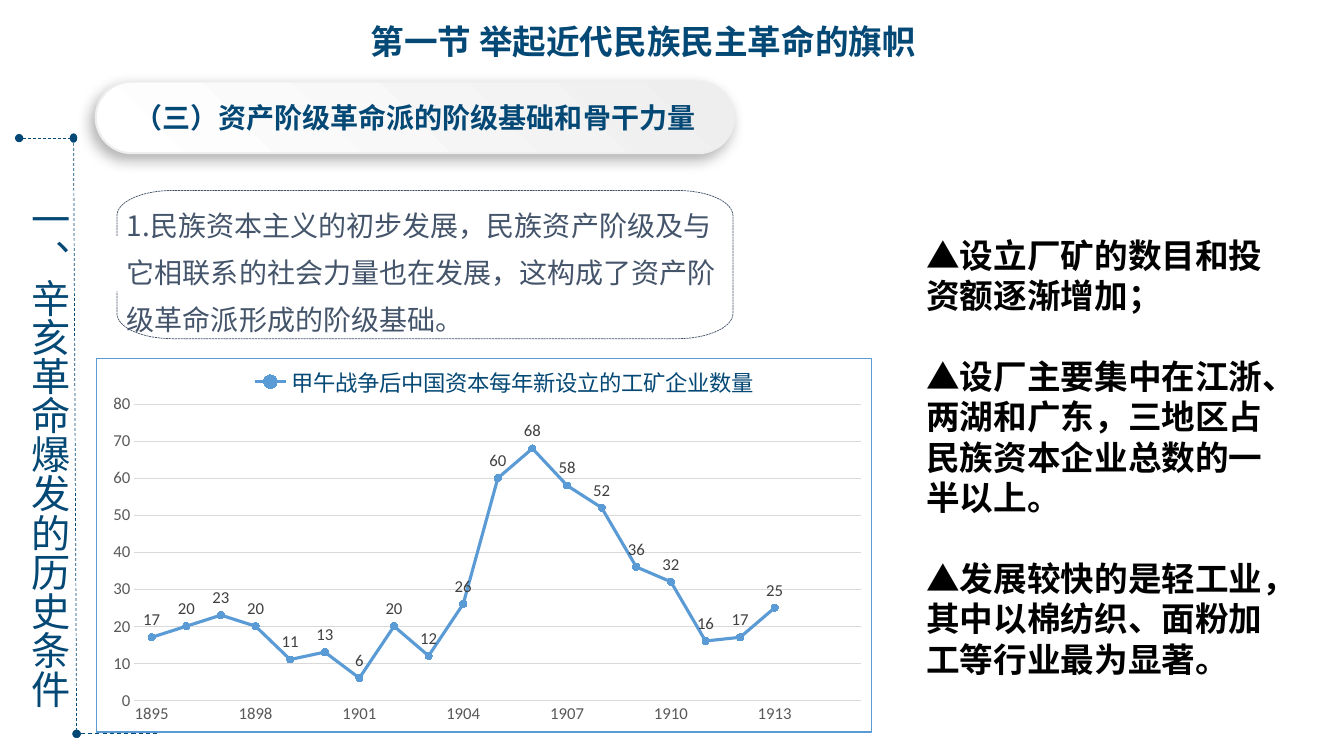
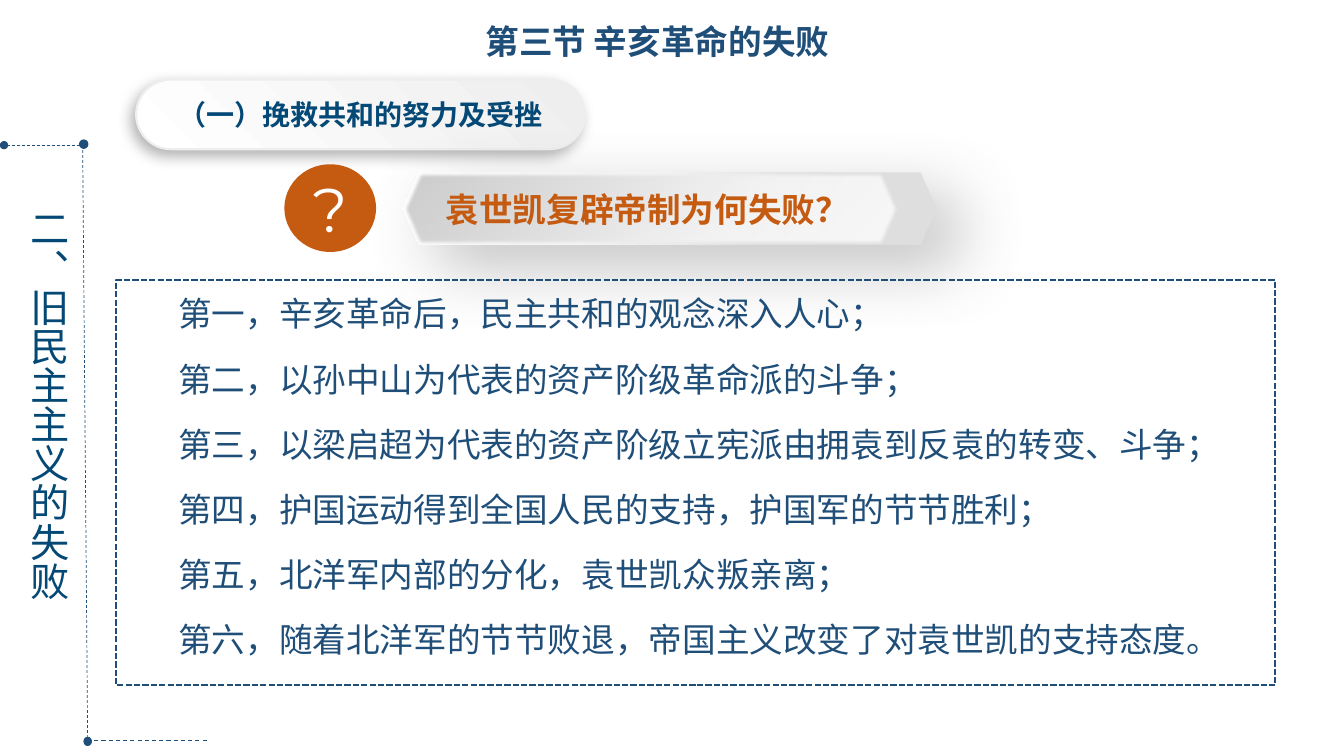
import math
from dataclasses import dataclass

from lxml import etree
from pptx import Presentation
from pptx.chart.data import CategoryChartData
from pptx.dml.color import RGBColor
from pptx.enum.chart import (XL_CHART_TYPE, XL_LABEL_POSITION, XL_LEGEND_POSITION,
                             XL_MARKER_STYLE, XL_TICK_MARK)
from pptx.enum.dml import MSO_LINE
from pptx.enum.shapes import MSO_CONNECTOR, MSO_SHAPE
from pptx.enum.text import MSO_ANCHOR, PP_ALIGN
from pptx.oxml import parse_xml
from pptx.oxml.ns import nsdecls, qn
from pptx.util import Emu, Pt

PX = 9144  # EMU per px, 100 px to the inch
LEFT, CENTER = PP_ALIGN.LEFT, PP_ALIGN.CENTER
TOP, MIDDLE = MSO_ANCHOR.TOP, MSO_ANCHOR.MIDDLE
DASH, SHORT_DASH = MSO_LINE.DASH, MSO_LINE.SQUARE_DOT
OVAL, HEXAGON = MSO_SHAPE.OVAL, MSO_SHAPE.HEXAGON


@dataclass(frozen=True)
class Theme:
    cjk: str = "Noto Sans CJK SC"
    latin: str = "Arial"
    display: str = "Montserrat"
    chart: str = "Calibri"
    navy: str = "044875"
    blue: str = "1F4E79"
    slate: str = "44546A"
    orange: str = "C55A11"
    series: tuple = ("5B9BD5", "ED7D31", "A5A5A5", "FFC000")
    grid: str = "D9D9D9"
    axis: str = "595959"
    label: str = "404040"
    pill_edge: str = "EEEEEE"
    black: str = "000000"
    white: str = "FFFFFF"
    title_size: int = 24
    body_size: int = 24
    side_size: int = 28
    pill_size: int = 20
    mark_size: int = 44
    legend_size: int = 16
    axis_size: int = 12


THEME = Theme()
PILL_GRADIENT = {"stops": [(0, "EEEEEE"), (100, "FFFFFF")], "angle": 135}
PILL_SHADOW = {"color": "000000", "alpha": 30, "blur": 10, "distance": 5, "angle": 135}
BANNER_SHADOW = {"color": "696969", "alpha": 40, "blur": 49, "distance": 25, "angle": 40}
BANNER_LAYERS = [
    ((399, 171, 530, 72), [(1, "DEDEDE"), (30, "E0E0E0"), (61, "F6F6F6"), (100, "FFFFFF")], 225),
    ((399, 171, 492, 72), [(0, "CBCBCB"), (32, "DEDEDE"), (64, "F3F3F3"), (100, "F9F9F9")], 45),
]

REVOLUTION = {
    "title": ("第一节 举起近代民族民主革命的旗帜", (342, 16, 592, 50), THEME.navy),
    "pill": ("（三）资产阶级革命派的阶级基础和骨干力量", (95, 81, 633, 71)),
    "side": ("一、辛亥革命爆发的历史条件", (11, 189, 67, 558)),
    "rail": {"color": THEME.navy, "dot": (70, 133, 6, 8),
             "lines": [((156, 728), (76, 728), 0.75), ((70, 137), (19, 137), 0.5),
                       ((73, 137), (76, 728), 0.5)]},
}
BASIS = "1.民族资本主义的初步发展，民族资产阶级及与它相联系的社会力量也在发展，这构成了资产阶级革命派形成的阶级基础。"
FINDINGS = [
    "▲设立厂矿的数目和投资额逐渐增加；",
    "▲设厂主要集中在江浙、两湖和广东，三地区占民族资本企业总数的一半以上。",
    "▲发展较快的是轻工业，其中以棉纺织、面粉加工等行业最为显著。",
]
FIRST_YEAR, YEAR_STEP = 1895, 3
ENTERPRISES = [17, 20, 23, 20, 11, 13, 6, 20, 12, 26, 60, 68, 58, 52, 36, 32, 16, 17, 25,
               None, None]
CHART_SERIES = [("甲午战争后中国资本每年新设立的工矿企业数量", ENTERPRISES),
                ("系列 2", []), ("系列 3", []), ("", [])]

FAILURE = {
    "title": ("第三节 辛亥革命的失败", (426, 16, 452, 50), THEME.blue),
    "pill": ("（一）挽救共和的努力及受挫", (135, 79, 445, 69)),
    "side": ("二、旧民主主义的失败", (10, 198, 67, 432)),
    "rail": {"color": THEME.blue, "dot": (79, 139, 8, 8),
             "lines": [((205, 735), (87, 735), 0.75), ((79, 144), (4, 144), 0.5),
                       ((82, 144), (87, 736), 0.5)]},
}
QUESTION = "袁世凯复辟帝制为何失败？"
REASONS = [
    "第一，辛亥革命后，民主共和的观念深入人心；",
    "第二，以孙中山为代表的资产阶级革命派的斗争；",
    "第三，以梁启超为代表的资产阶级立宪派由拥袁到反袁的转变、斗争；",
    "第四，护国运动得到全国人民的支持，护国军的节节胜利；",
    "第五，北洋军内部的分化，袁世凯众叛亲离；",
    "第六，随着北洋军的节节败退，帝国主义改变了对袁世凯的支持态度。",
]


def emu(*lengths):
    return [Emu(round(length * PX)) for length in lengths]


def rgb(color):
    return RGBColor.from_string(color)


def set_values(target, values):
    for name, value in values.items():
        setattr(target, name, value)


def format_font(font, size, color, name, bold=False):
    set_values(font, {"size": Pt(size), "name": name, "bold": bold})
    font.color.rgb = rgb(color)


def write(shape, lines, size, color, name=THEME.cjk, bold=False, align=LEFT, anchor=TOP,
          spacing=None, gap=0, indent=0, margins=None):
    """Fill a shape with paragraphs; gap is in points, indent and margins in px."""
    frame = shape.text_frame
    set_values(frame, {"word_wrap": True, "vertical_anchor": anchor})
    if margins is not None:
        for side in ("left", "top", "right", "bottom"):
            setattr(frame, f"margin_{side}", margins * PX)
    for index, line in enumerate(lines):
        paragraph = frame.add_paragraph() if index else frame.paragraphs[0]
        set_values(paragraph, {"alignment": align, "line_spacing": spacing})
        if index and gap:
            paragraph.space_before = Pt(gap)
        if indent:
            paragraph._p.get_or_add_pPr().set("indent", str(indent * PX))
        run = paragraph.add_run()
        run.text = line
        format_font(run.font, size, color, name, bold)
        east_asian = etree.SubElement(run._r.rPr, qn("a:ea"))
        east_asian.set("typeface", THEME.cjk)


def style_line(line, color, width, dash=None):
    line.color.rgb = rgb(color)
    set_values(line, {"width": Pt(width), "dash_style": dash})


def add_text(slide, box, lines, **style):
    shape = slide.shapes.add_textbox(*emu(*box))
    write(shape, lines, **style)
    return shape


def add_plain_shape(slide, kind, box, fill=None):
    shape = slide.shapes.add_shape(kind, *emu(*box))
    shape.shadow.inherit = False
    if fill:
        shape.fill.solid()
        shape.fill.fore_color.rgb = rgb(fill)
    else:
        shape.fill.background()
    shape.line.fill.background()
    return shape


def set_gradient(shape, stops, angle):
    marks = "".join(f'<a:gs pos="{position * 1000}"><a:srgbClr val="{color}"/></a:gs>'
                    for position, color in stops)
    properties = shape._element.spPr
    properties.replace(properties.find(qn("a:noFill")), parse_xml(
        f'<a:gradFill {nsdecls("a")} rotWithShape="1"><a:gsLst>{marks}</a:gsLst>'
        f'<a:lin ang="{angle * 60000}" scaled="0"/></a:gradFill>'))


def add_effect(shape, xml):
    shape._element.spPr.find(qn("a:effectLst")).append(parse_xml(xml))


def set_shadow(shape, color, alpha, blur, distance, angle):
    add_effect(shape, f'<a:outerShdw {nsdecls("a")} blurRad="{Pt(blur)}" dist="{Pt(distance)}" '
                      f'dir="{angle * 60000}" algn="ctr" rotWithShape="0"><a:srgbClr val="{color}">'
                      f'<a:alpha val="{alpha * 1000}"/></a:srgbClr></a:outerShdw>')


def add_rail(slide, color, dot, lines):
    for start, end, width in lines:
        connector = slide.shapes.add_connector(MSO_CONNECTOR.STRAIGHT, *emu(*start, *end))
        style_line(connector.line, color, width, DASH)
        etree.SubElement(connector.line._get_or_add_ln(), qn("a:tailEnd")).set("type", "oval")
        etree.SubElement(connector._element.spPr, qn("a:effectLst"))
    style_line(add_plain_shape(slide, OVAL, dot, color).line, color, 1)


def add_framed_slide(presentation, content):
    """Add a slide with its title, side rail, vertical heading and pill heading."""
    slide = presentation.slides.add_slide(presentation.slide_layouts[5])
    text, box, color = content["title"]
    title = slide.shapes.title
    set_values(title, dict(zip(("left", "top", "width", "height"), emu(*box))))
    write(title, [text], THEME.title_size, color, bold=True, align=CENTER)

    add_rail(slide, **content["rail"])
    text, box = content["side"]
    side = add_text(slide, box, [text], size=THEME.side_size, color=THEME.navy)
    side.text_frame._txBody.bodyPr.set("vert", "eaVert")

    text, box = content["pill"]
    pill = add_plain_shape(slide, MSO_SHAPE.ROUNDED_RECTANGLE, box)
    pill.adjustments[0] = 0.5
    set_gradient(pill, **PILL_GRADIENT)
    style_line(pill.line, THEME.pill_edge, 1.5)
    set_shadow(pill, **PILL_SHADOW)
    write(pill, [text], THEME.pill_size, THEME.navy, bold=True, align=CENTER, anchor=MIDDLE)
    return slide


def add_open_frame(slide, left, top, right, bottom, radius_x, radius_y, gap):
    """Draw a round-cornered outline left open on its left side between the gap's two heights."""
    corners = [(left + radius_x, top + radius_y, 180), (right - radius_x, top + radius_y, 270),
               (right - radius_x, bottom - radius_y, 0), (left + radius_x, bottom - radius_y, 90)]
    points = [(x + radius_x * math.cos(math.radians(start + turn)),
               y + radius_y * math.sin(math.radians(start + turn)))
              for x, y, start in corners for turn in range(0, 91, 6)]
    builder = slide.shapes.build_freeform(*emu(left, gap[0]))
    builder.add_line_segments([emu(*point) for point in [*points, (left, gap[1])]], close=False)
    frame = builder.convert_to_shape()
    frame.shadow.inherit = False
    frame.fill.background()
    style_line(frame.line, THEME.slate, 0.5, SHORT_DASH)
    return frame


def set_layout(element, **percents):
    """Place a plot area or legend by percents of the chart."""
    old = element.find(qn("c:layout"))
    if old is not None:
        element.remove(old)
    target = '<c:layoutTarget val="inner"/>' if element.tag == qn("c:plotArea") else ""
    modes = '<c:xMode val="edge"/><c:yMode val="edge"/>'
    values = "".join(f'<c:{key} val="{value / 100}"/>' for key, value in percents.items())
    layout = parse_xml(f'<c:layout {nsdecls("c")}><c:manualLayout>{target}{modes}{values}'
                       f'</c:manualLayout></c:layout>')
    position = element.find(qn("c:legendPos"))
    if position is None:
        element.insert(0, layout)
    else:
        position.addnext(layout)


def style_series(series, color):
    series.smooth = False
    style_line(series.format.line, color, 2.25)
    set_values(series.marker, {"style": XL_MARKER_STYLE.CIRCLE, "size": 5})
    series.marker.format.fill.solid()
    series.marker.format.fill.fore_color.rgb = rgb(color)
    style_line(series.marker.format.line, color, 0.75)
    labels = series.data_labels
    set_values(labels, {"show_value": True, "position": XL_LABEL_POSITION.ABOVE})
    format_font(labels.font, THEME.axis_size, THEME.label, THEME.chart)


def add_enterprise_chart(slide, box):
    data = CategoryChartData()
    data.categories = [
        str(FIRST_YEAR + index) if value is not None and index % YEAR_STEP == 0 else ""
        for index, value in enumerate(ENTERPRISES)]
    for name, values in CHART_SERIES:
        data.add_series(name, values)
    chart = slide.shapes.add_chart(XL_CHART_TYPE.LINE_MARKERS, *emu(*box), data).chart
    format_font(chart.font, THEME.axis_size, THEME.axis, THEME.chart)
    set_values(chart, {"has_title": False, "has_legend": True})
    set_values(chart.legend, {"position": XL_LEGEND_POSITION.BOTTOM, "include_in_layout": False})
    format_font(chart.legend.font, THEME.legend_size, THEME.navy, THEME.cjk)
    legend = chart.legend._element
    set_layout(legend, x=19.6, y=2, w=66, h=8)
    for index in reversed(range(1, len(CHART_SERIES))):
        legend.find(qn("c:legendPos")).addnext(parse_xml(
            f'<c:legendEntry {nsdecls("c")}><c:idx val="{index}"/><c:delete val="1"/>'
            f'</c:legendEntry>'))
    set_layout(chart._chartSpace.chart.plotArea, x=4.9, y=12.2, w=93.8, h=79.3)
    chart._chartSpace.chart.addnext(parse_xml(
        f'<c:spPr {nsdecls("c", "a")}><a:noFill/><a:ln w="{Pt(1)}"><a:solidFill>'
        f'<a:srgbClr val="{THEME.series[0]}"/></a:solidFill></a:ln></c:spPr>'))

    for axis in (chart.category_axis, chart.value_axis):
        set_values(axis, {"major_tick_mark": XL_TICK_MARK.NONE,
                          "minor_tick_mark": XL_TICK_MARK.NONE})
        format_font(axis.tick_labels.font, THEME.axis_size, THEME.axis, THEME.chart)
    style_line(chart.category_axis.format.line, THEME.grid, 0.75)
    set_values(chart.value_axis, {"minimum_scale": 0, "maximum_scale": 80, "major_unit": 10})
    chart.value_axis.format.line.fill.background()
    style_line(chart.value_axis.major_gridlines.format.line, THEME.grid, 0.75)
    chart.plots[0].vary_by_categories = False
    for series, color in zip(chart.plots[0].series, THEME.series):
        style_series(series, color)


def build_revolution(presentation):
    slide = add_framed_slide(presentation, REVOLUTION)
    frame = add_open_frame(slide, 116, 189, 727, 336, 55, 25, gap=(234, 289))
    write(frame, [BASIS], THEME.pill_size, THEME.slate, spacing=1.4)
    add_enterprise_chart(slide, (95, 355, 770, 372))
    add_text(slide, (909, 228, 377, 454), FINDINGS, size=THEME.body_size, color=THEME.black,
             bold=True, gap=29)


def build_failure(presentation):
    slide = add_framed_slide(presentation, FAILURE)
    back, front = [add_plain_shape(slide, HEXAGON, box) for box, _, _ in BANNER_LAYERS]
    for layer, (_, stops, angle) in zip((back, front), BANNER_LAYERS):
        layer.adjustments[0] = 0.22
        set_gradient(layer, stops, angle)
    set_shadow(back, **BANNER_SHADOW)
    add_effect(front, f'<a:softEdge {nsdecls("a")} rad="{Pt(2.5)}"/>')
    add_text(slide, (442, 187, 464, 40), [QUESTION], size=THEME.body_size, color=THEME.orange,
             name=THEME.latin, bold=True, margins=0)
    badge = add_plain_shape(slide, OVAL, (282, 163, 91, 87), THEME.orange)
    write(badge, ["?"], THEME.mark_size, THEME.white, THEME.display, align=CENTER,
          anchor=MIDDLE, margins=0)
    panel = add_plain_shape(slide, MSO_SHAPE.RECTANGLE, (115, 278, 1150, 402))
    style_line(panel.line, THEME.blue, 1.5, SHORT_DASH)
    write(panel, REASONS, THEME.body_size, THEME.blue, THEME.latin, spacing=1.2, gap=12,
          indent=52)


def main():
    presentation = Presentation()
    set_values(presentation, dict(zip(("slide_width", "slide_height"), emu(1333, 750))))
    build_revolution(presentation)
    build_failure(presentation)
    presentation.save("out.pptx")


if __name__ == "__main__":
    main()
